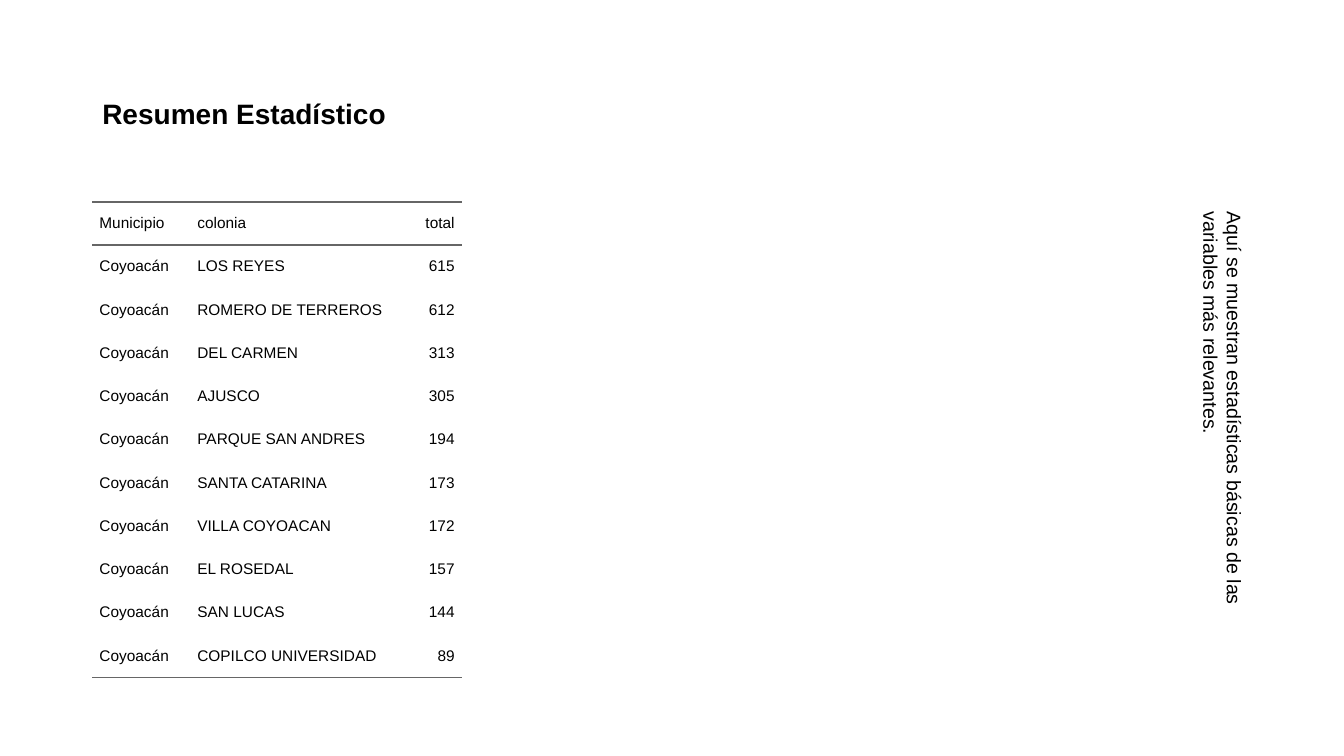
from dataclasses import dataclass

import lxml.etree
import pptx
import pptx.dml.color
import pptx.enum.text
import pptx.oxml.ns
import pptx.util

Pt = pptx.util.Pt
RGBColor = pptx.dml.color.RGBColor
Align = pptx.enum.text.PP_ALIGN
Anchor = pptx.enum.text.MSO_ANCHOR
qn = pptx.oxml.ns.qn

NO_STYLE_NO_GRID = "{2D5ABB26-0587-4C30-8999-92F81FD0307C}"


@dataclass(frozen=True)
class Theme:
    font: str = "Arial"
    text: str = "000000"
    rule: str = "666666"
    title_size: float = 20
    note_size: float = 14
    table_size: float = 11
    rule_width: float = 1.5
    cell_pad: float = 5


@dataclass(frozen=True)
class TextBlock:
    text: str
    top: float
    height: float
    size: float
    bold: bool = False
    vertical: bool = False
    anchor: Anchor = Anchor.TOP


@dataclass(frozen=True)
class Column:
    header: str
    width: float
    align: Align = Align.LEFT


THEME = Theme()
LEFT, WIDTH = 66, 828
BODY_TOP, BODY_HEIGHT = 144, 342.6
ROW_HEIGHT = 30.9

TEXTS = [
    TextBlock("Resumen Estadístico", 28.75, 104.4, THEME.title_size,
              bold=True, anchor=Anchor.MIDDLE),
    TextBlock("Aquí se muestran estadísticas básicas de las variables más relevantes.",
              BODY_TOP, BODY_HEIGHT, THEME.note_size, vertical=True),
]
COLUMNS = [
    Column("Municipio", 70),
    Column("colonia", 152.8),
    Column("total", 41, Align.RIGHT),
]
MUNICIPIO = "Coyoacán"
TOTALS = {
    "LOS REYES": 615,
    "ROMERO DE TERREROS": 612,
    "DEL CARMEN": 313,
    "AJUSCO": 305,
    "PARQUE SAN ANDRES": 194,
    "SANTA CATARINA": 173,
    "VILLA COYOACAN": 172,
    "EL ROSEDAL": 157,
    "SAN LUCAS": 144,
    "COPILCO UNIVERSIDAD": 89,
}


def set_font(p, size: float, bold: bool = False) -> None:
    p.font.name = THEME.font
    p.font.size = Pt(size)
    p.font.bold = bold
    p.font.color.rgb = RGBColor.from_string(THEME.text)


def add_text(slide, block: TextBlock) -> None:
    sp = slide.shapes.add_textbox(Pt(LEFT), Pt(block.top), Pt(WIDTH), Pt(block.height))
    tf = sp.text_frame
    tf.word_wrap = True
    tf.vertical_anchor = block.anchor
    if block.vertical:
        tf._txBody.bodyPr.set("vert", "eaVert")
    p = tf.paragraphs[0]
    p.text = block.text
    set_font(p, block.size, block.bold)


def add_rule(cell, side: str, index: int) -> None:
    """Draw one cell border; side is lnT or lnB, index its place in tcPr."""
    ln = lxml.etree.Element(qn(f"a:{side}"), w=str(Pt(THEME.rule_width)))
    fill = lxml.etree.SubElement(ln, qn("a:solidFill"))
    lxml.etree.SubElement(fill, qn("a:srgbClr"), val=THEME.rule)
    cell._tc.get_or_add_tcPr().insert(index, ln)


def fill_cell(cell, text: str, align: Align) -> None:
    cell.fill.background()
    cell.vertical_anchor = Anchor.MIDDLE
    cell.margin_left = cell.margin_right = Pt(0)
    cell.margin_top = cell.margin_bottom = Pt(0)
    p = cell.text_frame.paragraphs[0]
    p.text = text
    p.alignment = align
    p.space_before = p.space_after = Pt(THEME.cell_pad)
    pPr = p._p.get_or_add_pPr()
    for margin in ("marL", "marR"):
        pPr.set(margin, str(Pt(THEME.cell_pad)))
    set_font(p, THEME.table_size)


def add_totals_table(slide) -> None:
    rows = [[col.header for col in COLUMNS]]
    rows += [[MUNICIPIO, colonia, str(total)] for colonia, total in TOTALS.items()]
    table = slide.shapes.add_table(
        len(rows), len(COLUMNS), Pt(LEFT), Pt(BODY_TOP),
        Pt(sum(col.width for col in COLUMNS)), Pt(ROW_HEIGHT * len(rows))).table
    table.first_row = table.horz_banding = False
    table._tbl.tblPr.find(qn("a:tableStyleId")).text = NO_STYLE_NO_GRID
    for c, col in enumerate(COLUMNS):
        table.columns[c].width = Pt(col.width)
    for r, values in enumerate(rows):
        table.rows[r].height = Pt(ROW_HEIGHT)
        for c, (text, col) in enumerate(zip(values, COLUMNS)):
            cell = table.cell(r, c)
            fill_cell(cell, text, col.align)
            if r in (0, len(rows) - 1):
                add_rule(cell, "lnB", 0)
            if r == 0:
                add_rule(cell, "lnT", 0)


def main() -> None:
    prs = pptx.Presentation()
    prs.slide_width, prs.slide_height = Pt(960), Pt(540)
    slide = prs.slides.add_slide(prs.slide_layouts[6])
    for block in TEXTS:
        add_text(slide, block)
    add_totals_table(slide)
    prs.save("out.pptx")


if __name__ == "__main__":
    main()
